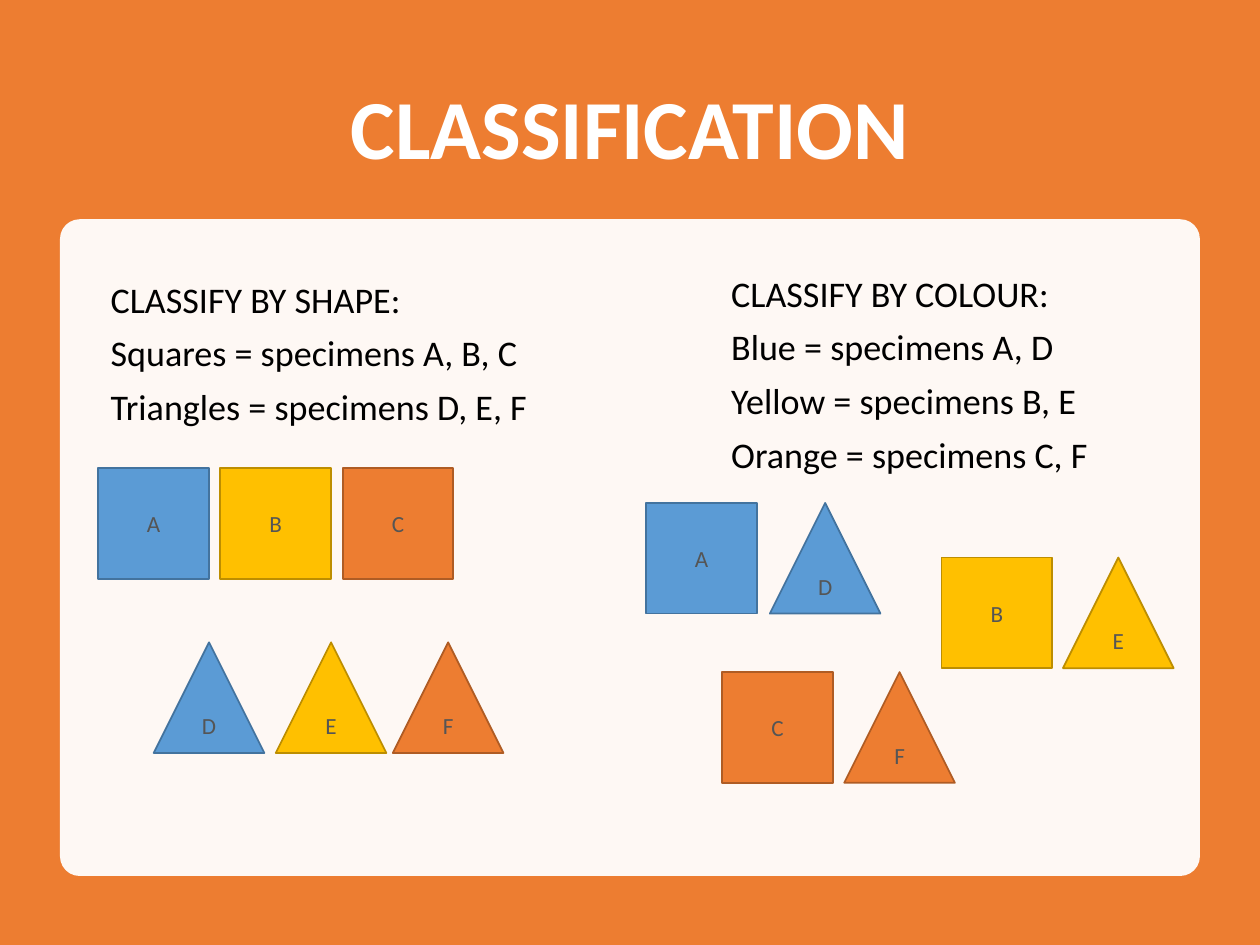
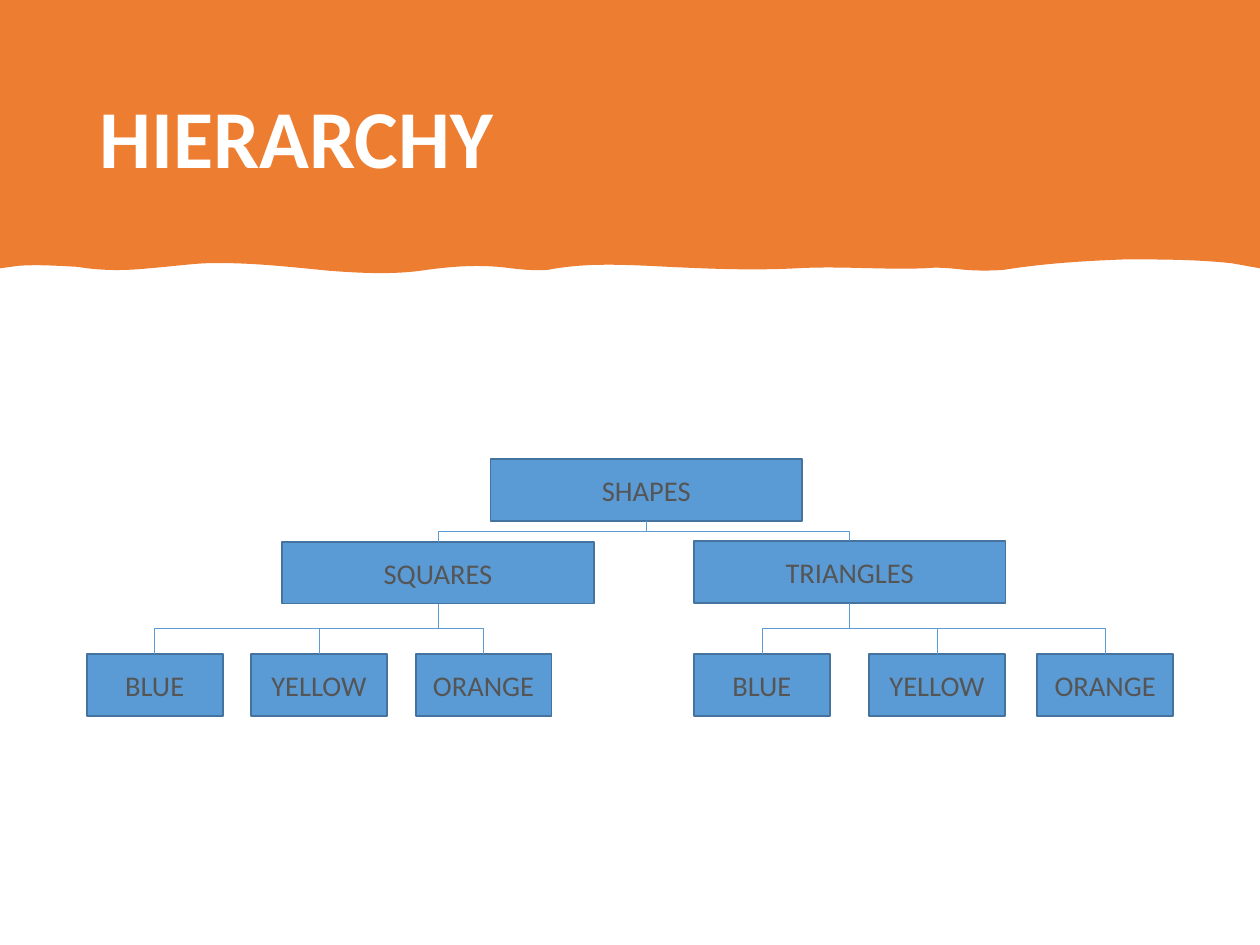
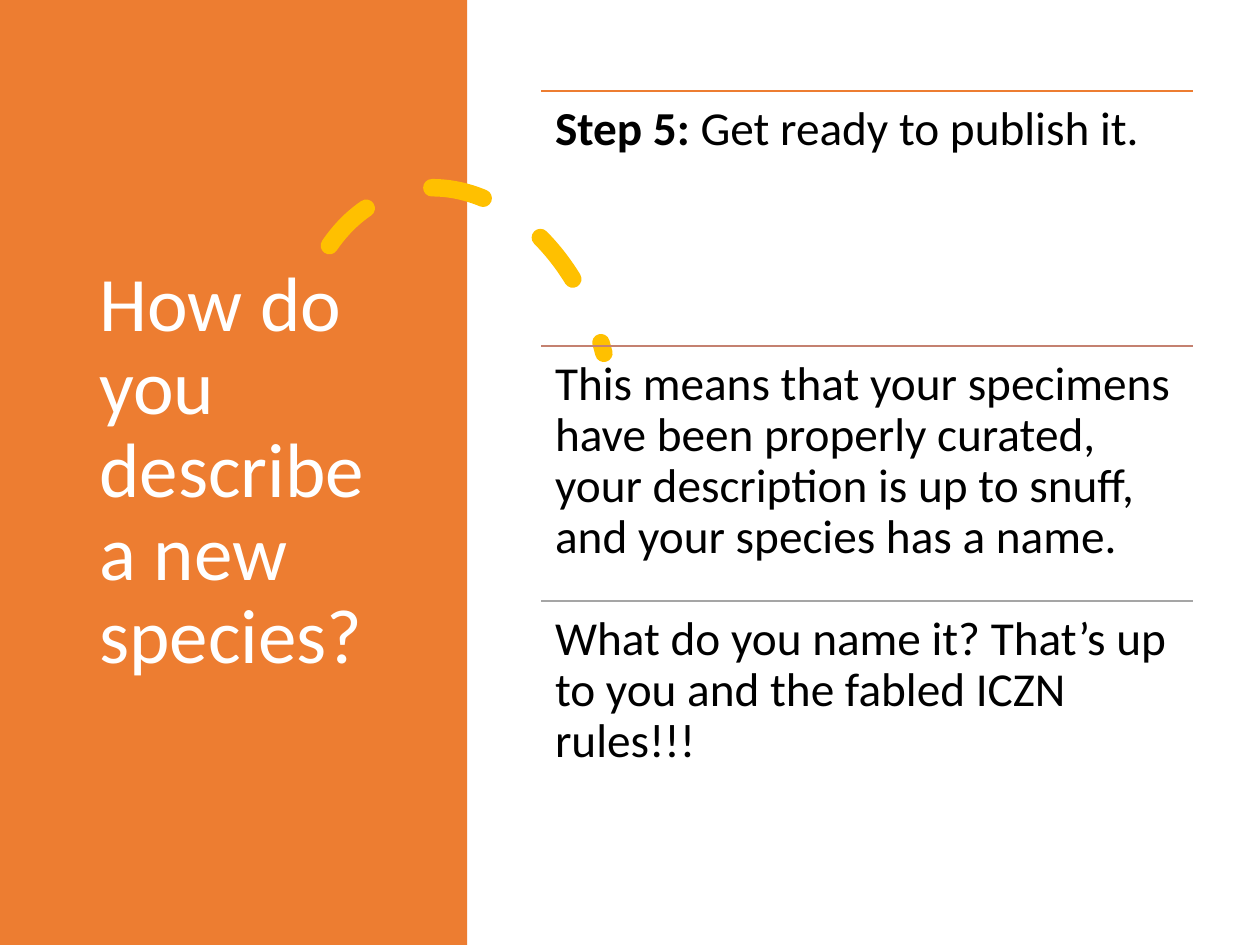
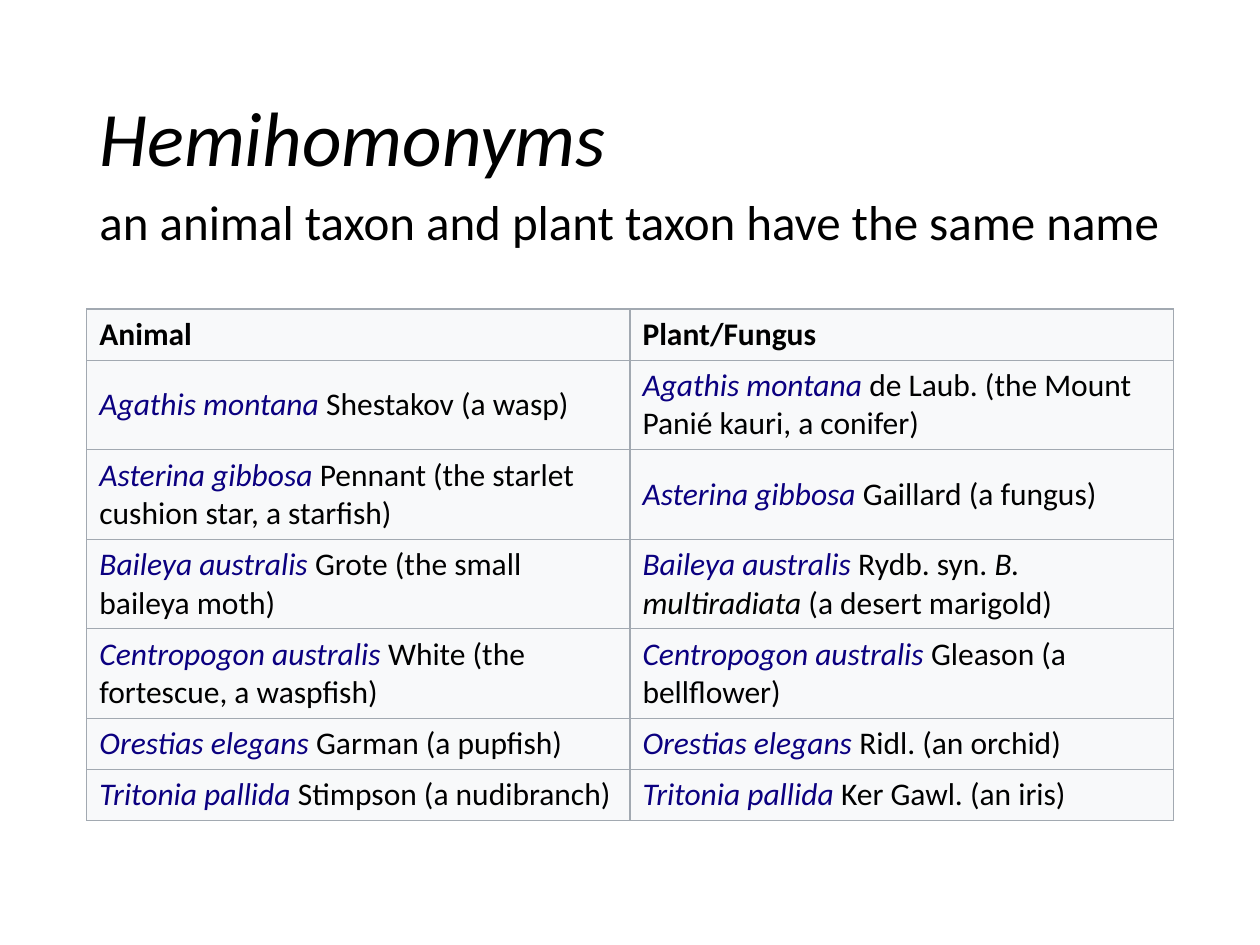
"""Build four slides on classifying, arranging and naming species."""
from dataclasses import dataclass
from typing import Any

import lxml.etree
import pptx
import pptx.dml.color
import pptx.enum.dml
import pptx.enum.shapes
import pptx.enum.text
import pptx.oxml.ns
import pptx.util

Cm = pptx.util.Cm
Pt = pptx.util.Pt
qn = pptx.oxml.ns.qn
Shape = pptx.enum.shapes.MSO_SHAPE
Link = pptx.enum.shapes.MSO_CONNECTOR
Align = pptx.enum.text.PP_ALIGN
Anchor = pptx.enum.text.MSO_ANCHOR
Fit = pptx.enum.text.MSO_AUTO_SIZE


@dataclass(frozen=True)
class Tone:
    fill: str
    edge: str


@dataclass(frozen=True)
class Theme:
    font: str = "Calibri"
    white: str = "FFFFFF"
    ink: str = "000000"
    label: str = "555555"
    grey: str = "A5A5A5"
    clay: str = "C48170"
    taxon: str = "0B0080"
    cell: str = "F8F9FA"
    border: str = "A2A9B1"
    blue: Tone = Tone("5B9BD5", "43739E")
    yellow: Tone = Tone("FFC000", "BD8E00")
    orange: Tone = Tone("ED7D31", "AF5C24")
    banner: float = 48
    heading: float = 47
    title: float = 44
    subtitle: float = 28
    step: float = 27
    note: float = 20.6
    table: float = 18
    node: float = 16.3
    specimen: float = 13.2


THEME = Theme()


@dataclass(frozen=True)
class Area:
    left: float
    top: float
    width: float
    height: float

    def lengths(self) -> tuple:
        return tuple(Cm(n) for n in (self.left, self.top, self.width, self.height))


@dataclass(frozen=True)
class Span:
    text: str
    bold: bool = False
    italic: bool = False
    colour: str = ""


@dataclass(frozen=True)
class Style:
    size: float
    colour: str = THEME.ink
    align: Any = Align.LEFT
    spacing: float = 1.0
    after: float = 0


@dataclass(frozen=True)
class SpecimenRow:
    letters: str
    lefts: tuple
    top: float


@dataclass(frozen=True)
class Node:
    label: str
    area: Area
    children: tuple = ()


@dataclass(frozen=True)
class Step:
    colour: str
    spans: tuple


PAGE = Area(0, 0, 25.4, 19.05)
TITLE_AREA = Area(1.75, 1.02, 21.9, 3.68)
SPECIMEN_SIDE = 2.23
SPECIMENS = {
    "A": (Shape.RECTANGLE, THEME.blue),
    "B": (Shape.RECTANGLE, THEME.yellow),
    "C": (Shape.RECTANGLE, THEME.orange),
    "D": (Shape.ISOSCELES_TRIANGLE, THEME.blue),
    "E": (Shape.ISOSCELES_TRIANGLE, THEME.yellow),
    "F": (Shape.ISOSCELES_TRIANGLE, THEME.orange),
}
SPECIMEN_ROWS = (
    SpecimenRow("ABC", (1.98, 4.44, 6.91), 9.44),
    SpecimenRow("DEF", (3.1, 5.56, 7.92), 12.95),
    SpecimenRow("AD", (13.03, 15.52), 10.14),
    SpecimenRow("BE", (18.98, 21.43), 11.24),
    SpecimenRow("CF", (14.56, 17.02), 13.55),
)
KEYS = (
    (Area(1.98, 5.46, 9.17, 4.45),
     ("CLASSIFY BY SHAPE:", "Squares = specimens A, B, C", "Triangles = specimens D, E, F")),
    (Area(14.49, 5.34, 9.17, 4.42),
     ("CLASSIFY BY COLOUR:", "Blue = specimens A, D", "Yellow = specimens B, E",
      "Orange = specimens C, F")),
)
HEADER_CORNERS = ((25.4, 0), (25.4, 5.41), (24.84, 5.31))
WAVE = (
    ((24.13, 5.23), (23.39, 5.23), (22.68, 5.23)),
    ((21.87, 5.26), (21.06, 5.31), (20.24, 5.44)),
    ((19.99, 5.46), (19.71, 5.46), (19.46, 5.44)),
    ((19.18, 5.41), (18.9, 5.38), (18.62, 5.41)),
    ((17.75, 5.44), (16.92, 5.36), (16.05, 5.41)),
    ((15.06, 5.46), (14.07, 5.41), (13.08, 5.36)),
    ((12.4, 5.33), (11.73, 5.31), (11.05, 5.44)),
    ((10.82, 5.46), (10.57, 5.44), (10.31, 5.41)),
    ((9.75, 5.33), (9.19, 5.36), (8.61, 5.44)),
    ((7.98, 5.54), (7.32, 5.51), (6.65, 5.46)),
    ((5.82, 5.38), (4.98, 5.28), (4.11, 5.31)),
    ((3.76, 5.33), (3.38, 5.38), (3.0, 5.41)),
    ((2.51, 5.46), (2.03, 5.46), (1.57, 5.38)),
    ((1.17, 5.36), (0.76, 5.33), (0.36, 5.36)),
)


def colour_leaves(lefts: tuple) -> tuple:
    """Return the three colour nodes of one branch."""
    return tuple(Node(label, Area(left, 13.18, 2.74, 1.25))
                 for label, left in zip(("BLUE", "YELLOW", "ORANGE"), lefts))


TREE = Node("SHAPES", Area(9.89, 9.25, 6.28, 1.25), (
    Node("SQUARES", Area(5.69, 10.92, 6.28, 1.25), colour_leaves((1.75, 5.06, 8.38))),
    Node("TRIANGLES", Area(13.99, 10.91, 6.28, 1.25), colour_leaves((13.99, 17.52, 20.91))),
))
STEPS = (
    Step(THEME.orange.fill, (Span("Step 5:", bold=True), Span(" Get ready to publish it."))),
    Step(THEME.clay, (Span("This means that your specimens have been properly curated, "
                           "your description is up to snuff, and your species has a name."),)),
    Step(THEME.grey, (Span("What do you name it? That’s up to you and the fabled ICZN rules!!!"),)),
)


def taxon(name: str, rest: str, *more: Span) -> tuple:
    """Return the spans of a species name and its explanation."""
    return (Span(name, italic=True, colour=THEME.taxon), Span(" " + rest), *more)


HEMIHOMONYMS = (
    ((Span("Animal", bold=True),), (Span("Plant/Fungus", bold=True),)),
    (taxon("Agathis montana", "Shestakov (a wasp)"),
     taxon("Agathis montana", "de Laub. (the Mount Panié kauri, a conifer)")),
    (taxon("Asterina gibbosa", "Pennant (the starlet cushion star, a starfish)"),
     taxon("Asterina gibbosa", "Gaillard (a fungus)")),
    (taxon("Baileya australis", "Grote (the small baileya moth)"),
     taxon("Baileya australis", "Rydb. syn. ", Span("B. multiradiata", italic=True),
           Span(" (a desert marigold)"))),
    (taxon("Centropogon australis", "White (the fortescue, a waspfish)"),
     taxon("Centropogon australis", "Gleason (a bellflower)")),
    (taxon("Orestias elegans", "Garman (a pupfish)"),
     taxon("Orestias elegans", "Ridl. (an orchid)")),
    (taxon("Tritonia pallida", "Stimpson (a nudibranch)"),
     taxon("Tritonia pallida", "Ker Gawl. (an iris)")),
)
ROW_HEIGHTS = (1.03, 1.8, 1.8, 1.8, 1.8, 1.03, 1.03)


def rgb(value: str) -> pptx.dml.color.RGBColor:
    """Turn a hex string into a colour."""
    return pptx.dml.color.RGBColor.from_string(value)


def apply(target: Any, values: dict) -> None:
    """Set each named attribute on the target."""
    for name, value in values.items():
        setattr(target, name, value)


def apply_xml(element: Any, values: dict) -> None:
    """Set each named attribute on an XML element."""
    for name, value in values.items():
        element.set(name, value)


def paint(shape: Any, fill: str, edge: str = "") -> None:
    """Give a shape a flat fill and an optional one-point edge."""
    shape.shadow.inherit = False
    shape.fill.solid()
    shape.fill.fore_color.rgb = rgb(fill)
    if edge:
        shape.line.color.rgb = rgb(edge)
        shape.line.width = Pt(1)
    else:
        shape.line.fill.background()


def write(frame: Any, paragraphs: tuple, style: Style) -> None:
    """Fill a text frame with paragraphs made of spans."""
    frame.word_wrap = True
    for index, spans in enumerate(paragraphs):
        para = frame.paragraphs[0] if index == 0 else frame.add_paragraph()
        apply(para, {"alignment": style.align, "line_spacing": style.spacing,
                     "space_before": Pt(0), "space_after": Pt(style.after)})
        for span in spans:
            run = para.add_run()
            run.text = span.text
            apply(run.font, {"name": THEME.font, "size": Pt(style.size),
                             "bold": span.bold, "italic": span.italic})
            run.font.color.rgb = rgb(span.colour or style.colour)


def add_block(page: Any, kind: Any, area: Area, fill: str, edge: str = "") -> Any:
    """Draw a filled preset shape."""
    block = page.shapes.add_shape(kind, *area.lengths())
    paint(block, fill, edge)
    return block


def add_label(page: Any, kind: Any, area: Area, tone: Tone, text: str, size: float) -> Any:
    """Draw a shape with a centred label."""
    block = add_block(page, kind, area, tone.fill, tone.edge)
    block.text_frame.vertical_anchor = Anchor.MIDDLE
    write(block.text_frame, ((Span(text),),),
          Style(size, THEME.label, Align.CENTER, after=6))
    return block


def add_text(page: Any, area: Area, paragraphs: tuple, style: Style, values: dict) -> None:
    """Draw a wrapped text box."""
    box = page.shapes.add_textbox(*area.lengths())
    apply(box.text_frame, values)
    write(box.text_frame, paragraphs, style)


def fill_placeholder(page: Any, holder: Any, area: Area, span: Span, style: Style,
                     anchor: Any) -> None:
    """Move a placeholder to the front, place it and write its text."""
    apply(holder, dict(zip(("left", "top", "width", "height"), area.lengths())))
    page.shapes._spTree.append(holder._element)
    apply(holder.text_frame, {"vertical_anchor": anchor, "auto_size": Fit.NONE})
    properties = holder.text_frame.paragraphs[0]._p.get_or_add_pPr()
    apply_xml(properties, {"marL": "0", "indent": "0"})
    lxml.etree.SubElement(properties, qn("a:buNone"))
    write(holder.text_frame, ((span,),), style)


def set_title(page: Any, span: Span, style: Style, area: Area = TITLE_AREA) -> None:
    """Write the title of a page."""
    fill_placeholder(page, page.shapes.title, area, span, style, Anchor.MIDDLE)


def style_connector(line: Any, colour: str, width: float) -> None:
    """Colour a connector and take its shadow away."""
    line.line.color.rgb = rgb(colour)
    line.line.width = Pt(width)
    lxml.etree.SubElement(line._element.spPr, qn("a:effectLst"))


def add_branch(page: Any, parent: Any, child: Any) -> None:
    """Join a parent's bottom to a child's top with an elbow."""
    start_x, start_y = parent.left + parent.width // 2, parent.top + parent.height
    end_x, end_y = child.left + child.width // 2, child.top
    drop, reach = end_y - start_y, abs(end_x - start_x)
    line = page.shapes.add_connector(Link.ELBOW, start_x, start_y, end_x, end_y)
    line.begin_connect(parent, 2)
    line.end_connect(child, 0)
    apply(line, {"left": (start_x + end_x - drop) // 2, "top": (start_y + end_y - reach) // 2,
                 "width": drop, "height": reach})
    rightward = end_x > start_x
    apply_xml(line._element.spPr.find(qn("a:xfrm")),
              {"rot": str((270 if rightward else 90) * 60000), "flipH": str(int(rightward))})
    style_connector(line, THEME.blue.fill, 0.5)


def add_tree(page: Any, node: Node) -> Any:
    """Draw a node, its descendants and the branches between them."""
    box = add_label(page, Shape.RECTANGLE, node.area, THEME.blue, node.label, THEME.node)
    for child in node.children:
        add_branch(page, box, add_tree(page, child))
    return box


def add_wave_header(page: Any) -> None:
    """Draw the orange header with a curved lower edge."""
    outline = [*HEADER_CORNERS, *(curve[-1] for curve in WAVE), (0, 5.41)]
    builder = page.shapes.build_freeform(0, 0)
    builder.add_line_segments([(Cm(x), Cm(y)) for x, y in outline], close=True)
    header = builder.convert_to_shape()
    paint(header, THEME.orange.fill)
    segments = list(header._element.spPr.iter(qn("a:lnTo")))
    for segment, curve in zip(segments[len(HEADER_CORNERS):], WAVE):
        bend = lxml.etree.Element(qn("a:cubicBezTo"))
        for x, y in curve:
            lxml.etree.SubElement(bend, qn("a:pt"), x=str(Cm(x)), y=str(Cm(y)))
        segment.getparent().replace(segment, bend)


def add_dashed_arc(page: Any) -> None:
    """Draw the thick dashed arc beside the title."""
    arc = page.shapes.add_shape(Shape.ARC, *Area(6.05, 3.73, 6.22, 8.31).lengths())
    arc.shadow.inherit = False
    arc.rotation = 345.8
    arc.adjustments[0] = 146.13
    arc.fill.background()
    arc.line.color.rgb = rgb(THEME.yellow.fill)
    apply(arc.line, {"width": Pt(10), "dash_style": pptx.enum.dml.MSO_LINE.DASH})
    arc._element.spPr.find(qn("a:ln")).set("cap", "rnd")


def add_borders(cell: Any) -> None:
    """Draw a thin line on each side of a cell."""
    properties = cell._tc.get_or_add_tcPr()
    for index, side in enumerate(("a:lnL", "a:lnR", "a:lnT", "a:lnB")):
        line = lxml.etree.Element(qn(side), w=str(Pt(0.75)))
        fill = lxml.etree.SubElement(line, qn("a:solidFill"))
        lxml.etree.SubElement(fill, qn("a:srgbClr"), val=THEME.border)
        properties.insert(index, line)


def build_classification(page: Any) -> None:
    """Show specimens sorted by shape and by colour."""
    add_block(page, Shape.RECTANGLE, PAGE, THEME.orange.fill)
    set_title(page, Span("CLASSIFICATION", bold=True),
              Style(THEME.banner, THEME.white, Align.CENTER, 0.9), Area(1.75, 1.27, 21.9, 2.8))
    panel = add_block(page, Shape.ROUNDED_RECTANGLE, Area(1.21, 4.42, 22.98, 13.24), THEME.white)
    panel.adjustments[0] = 0.03
    tint = panel._element.spPr.find(qn("a:solidFill")).find(qn("a:srgbClr"))
    lxml.etree.SubElement(tint, qn("a:alpha"), val="95000")
    for row in SPECIMEN_ROWS:
        for letter, left in zip(row.letters, row.lefts):
            kind, tone = SPECIMENS[letter]
            area = Area(left, row.top, SPECIMEN_SIDE, SPECIMEN_SIDE)
            add_label(page, kind, area, tone, letter, THEME.specimen)
    for area, lines in KEYS:
        add_text(page, area, tuple((Span(line),) for line in lines),
                 Style(THEME.note, after=6), {"auto_size": Fit.SHAPE_TO_FIT_TEXT})


def build_hierarchy(page: Any) -> None:
    """Show the shapes as a tree."""
    add_wave_header(page)
    set_title(page, Span("HIERARCHY", bold=True),
              Style(THEME.heading, THEME.white, spacing=0.9))
    add_tree(page, TREE)


def build_steps(page: Any) -> None:
    """Show the publishing step in three ruled parts."""
    add_block(page, Shape.RECTANGLE, Area(0, 0, 9.42, PAGE.height), THEME.orange.fill)
    add_dashed_arc(page)
    set_title(page, Span("How do you describe a new species?"),
              Style(THEME.title, THEME.white, spacing=0.9), Area(1.75, 1.79, 6.15, 15.47))
    sides = ("left", "top", "right", "bottom")
    inset = {f"margin_{side}": Cm(0.28) for side in sides}
    for index, step in enumerate(STEPS):
        area = Area(10.91, 1.83 + index * 5.14, 13.13, 5.14)
        left, top, width, _ = area.lengths()
        rule = page.shapes.add_connector(Link.STRAIGHT, left, top, left + width, top)
        style_connector(rule, step.colour, 1)
        add_text(page, area, (step.spans,), Style(THEME.step, spacing=0.9), inset)


def build_hemihomonyms(page: Any) -> None:
    """Show animal and plant taxa that share a name."""
    set_title(page, Span("Hemihomonyms", italic=True), Style(THEME.title, spacing=0.9))
    fill_placeholder(page, page.placeholders[1], Area(1.75, 3.86, 21.9, 2.69),
                     Span("an animal taxon and plant taxon have the same name"),
                     Style(THEME.subtitle, spacing=0.9), Anchor.TOP)
    area = Area(1.75, 6.23, 21.9, sum(ROW_HEIGHTS))
    table = page.shapes.add_table(len(HEMIHOMONYMS), 2, *area.lengths()).table
    apply(table, {"first_row": False, "horz_banding": False})
    for row, height, entries in zip(table.rows, ROW_HEIGHTS, HEMIHOMONYMS):
        row.height = Cm(height)
        for cell, spans in zip(row.cells, entries):
            cell.fill.solid()
            cell.fill.fore_color.rgb = rgb(THEME.cell)
            cell.vertical_anchor = Anchor.MIDDLE
            add_borders(cell)
            write(cell.text_frame, (spans,), Style(THEME.table))


def main() -> None:
    """Build and save the deck."""
    deck = pptx.Presentation()
    apply(deck, {"slide_width": Cm(PAGE.width), "slide_height": Cm(PAGE.height)})
    title_only, title_and_body = deck.slide_layouts[5], deck.slide_layouts[1]
    for layout, build in ((title_only, build_classification), (title_only, build_hierarchy),
                          (title_only, build_steps), (title_and_body, build_hemihomonyms)):
        build(deck.slides.add_slide(layout))
    deck.save("out.pptx")


if __name__ == "__main__":
    main()
